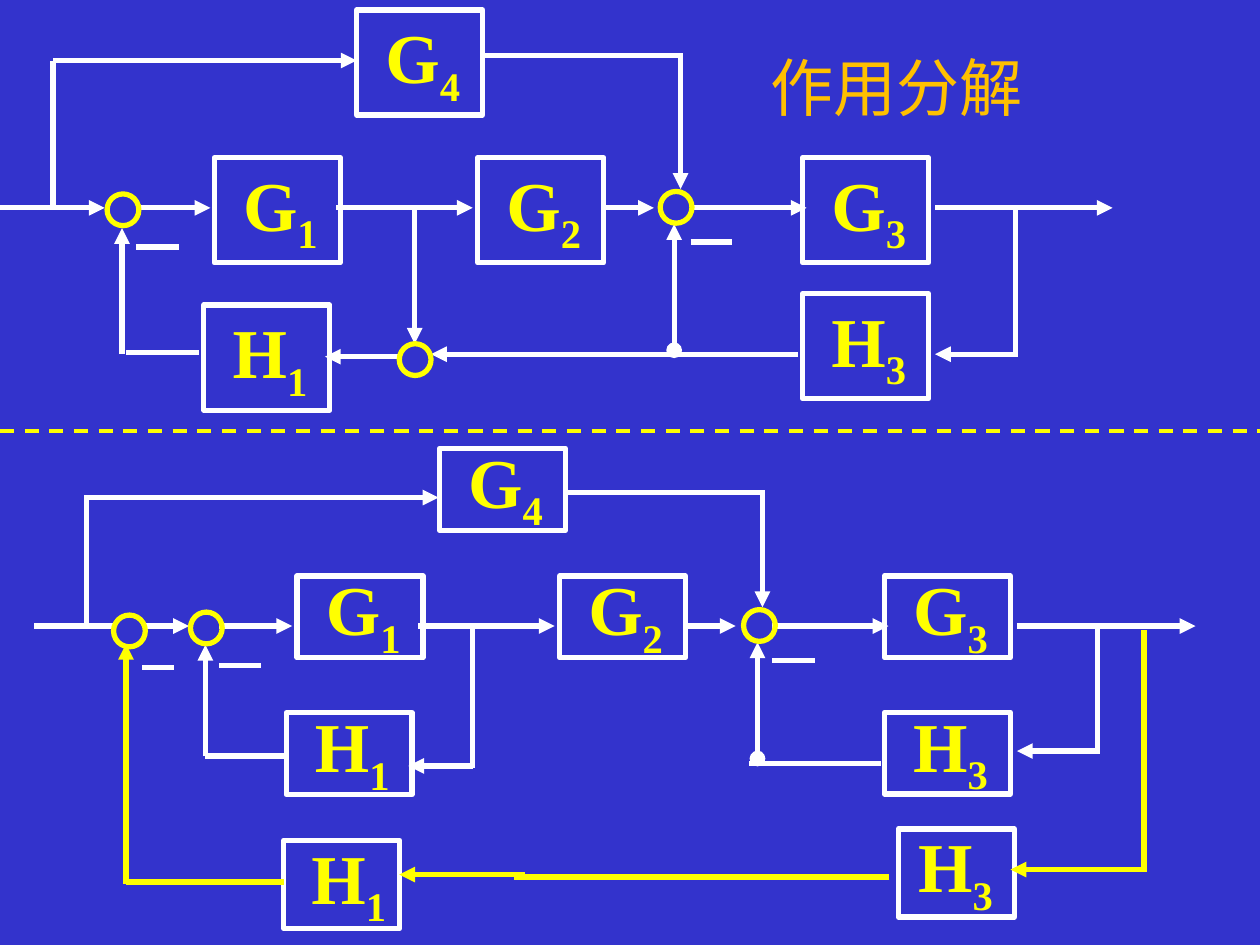
"""Build a slide that decomposes a control block diagram into separate loops."""
from lxml import etree
from pptx import Presentation
from pptx.dml.color import RGBColor
from pptx.enum.dml import MSO_LINE
from pptx.enum.shapes import MSO_CONNECTOR, MSO_SHAPE
from pptx.enum.text import MSO_ANCHOR, MSO_AUTO_SIZE
from pptx.oxml.ns import qn
from pptx.util import Cm, Pt

STRAIGHT = MSO_CONNECTOR.STRAIGHT
RECTANGLE, OVAL = MSO_SHAPE.RECTANGLE, MSO_SHAPE.OVAL
MIDDLE, TOP = MSO_ANCHOR.MIDDLE, MSO_ANCHOR.TOP
GROW, FIXED = MSO_AUTO_SIZE.SHAPE_TO_FIT_TEXT, MSO_AUTO_SIZE.NONE
DASH = MSO_LINE.DASH
color = RGBColor.from_string
BLUE, WHITE, YELLOW, ORANGE = "3333CC", "FFFFFF", "FFFF00", "FFC000"

presentation = Presentation()
presentation.slide_width, presentation.slide_height = Cm(25.4), Cm(19.05)
slide = presentation.slides.add_slide(presentation.slide_layouts[6])
slide.background.fill.solid()
slide.background.fill.fore_color.rgb = color(BLUE)


def add_text(text, left, top, width, height, subscript="", size=40, font="Times New Roman",
             fill=YELLOW, bold=True, anchor=TOP, fit=GROW):
    box = slide.shapes.add_textbox(Cm(left), Cm(top), Cm(width), Cm(height))
    frame = box.text_frame
    frame.word_wrap, frame.auto_size, frame.vertical_anchor = True, fit, anchor
    paragraph = frame.paragraphs[0]
    for part in filter(None, (text, subscript)):
        run = paragraph.add_run()
        run.text = part
        run.font.name, run.font.size, run.font.bold = font, Pt(size), bold
        run.font.color.rgb = color(fill)
    if subscript:
        run.font._element.set("baseline", "-25000")
        spacing = etree.SubElement(paragraph._p.get_or_add_pPr(), qn("a:spcBef"))
        etree.SubElement(spacing, qn("a:spcPct")).set("val", "50000")
    return paragraph


def add_line(x1, y1, x2, y2, stroke=WHITE, width=3, dash=None, start=None, end=None):
    connector = slide.shapes.add_connector(STRAIGHT, Cm(x1), Cm(y1), Cm(x2), Cm(y2))
    connector.line.color.rgb = color(stroke)
    connector.line.width = Pt(width)
    if dash:
        connector.line.dash_style = dash
    properties = connector._element.spPr
    outline = properties.find(qn("a:ln"))
    for tag, kind in (("a:headEnd", start), ("a:tailEnd", end)):
        if kind:
            etree.SubElement(outline, qn(tag)).set("type", kind)
    etree.SubElement(properties, qn("a:effectLst"))


block_groups = [
    # width, height, label shift right and up, blocks
    (2.54, 2.12, 0.33, 0.05, [("G1", 4.32, 3.18), ("G4", 7.19, 0.2), ("H3", 16.18, 5.92),
                              ("G2", 9.63, 3.18), ("G3", 16.18, 3.18), ("H1", 4.11, 6.15)]),
    (2.54, 1.65, 0.33, 0.33, [("G1", 5.99, 11.61), ("G4", 8.86, 9.04), ("G2", 11.28, 11.61),
                              ("G3", 17.83, 11.61), ("H3", 17.83, 14.36), ("H1", 5.77, 14.37)]),
    (2.34, 1.78, 0.31, 0.25, [("H1", 5.72, 16.94)]),
    (2.34, 1.78, 0.15, 0.25, [("H3", 18.11, 16.71)]),
]
for width, height, shift, rise, blocks in block_groups:
    for (letter, index), left, top in blocks:
        add_text(letter, left + shift, top - rise, 2.74, 1.96, subscript=index)
        shape = slide.shapes.add_shape(RECTANGLE, Cm(left), Cm(top), Cm(width), Cm(height))
        shape.shadow.inherit = False
        shape.fill.background()
        shape.line.color.rgb = color(WHITE)
        shape.line.width = Pt(3)

title = add_text("作用分解", 15.29, 0, 9.4, 3.68, size=36, font="Calibri", fill=ORANGE,
                 bold=False, anchor=MIDDLE, fit=FIXED)
title.line_spacing = 0.9
add_line(0, 8.69, 25.4, 8.69, stroke=YELLOW, width=2, dash=DASH)

forward_paths = [
    (4.19, [(0, 2.11), (2.74, 4.24), (6.78, 9.53), (12.12, 13.18), (13.92, 16.26), (18.85, 22.43)]),
    (12.62, [(0.69, 3.81), (4.42, 5.89), (8.43, 11.18), (13.77, 14.83), (15.57, 17.91), (20.5, 24.1)]),
]
for y, spans in forward_paths:
    for x1, x2 in spans:
        add_line(x1, y, x2, y, end="triangle")

branch_arrows = [
    (1.07, 1.22, 7.19, 1.22), (16.08, 7.14, 8.69, 7.14), (20.52, 7.14, 18.85, 7.14),
    (2.46, 7.14, 2.46, 4.6), (13.72, 1.07, 13.72, 3.81), (8.36, 4.14, 8.36, 6.93),
    (8.05, 7.19, 6.55, 7.19), (1.7, 10.03, 8.84, 10.03), (22.17, 15.14, 20.5, 15.14),
    (4.14, 15.24, 4.14, 13), (15.37, 9.88, 15.37, 12.24), (9.53, 15.44, 8.23, 15.44),
]
branch_lines = [
    (9.73, 1.12, 13.77, 1.12), (1.07, 4.19, 1.07, 1.22), (20.47, 4.19, 20.47, 7.14),
    (2.54, 7.11, 4.01, 7.11), (11.4, 9.93, 15.42, 9.93), (1.75, 12.6, 1.75, 10.03),
    (22.12, 12.62, 22.12, 15.19), (17.75, 15.39, 15.09, 15.39), (4.14, 15.24, 5.74, 15.24),
    (9.53, 15.49, 9.53, 12.65),
]
minus_signs = [
    (2.74, 4.98, 3.61, 4.98), (13.92, 4.88, 14.76, 4.88), (4.42, 13.41, 5.26, 13.41),
    (15.57, 13.31, 16.43, 13.31), (2.87, 13.46, 3.51, 13.46),
]
dotted_arrows = [(13.59, 7.06, 13.59, 4.52), (15.27, 15.29, 15.27, 12.95)]
outer_loop_arrows = [
    (23.11, 17.53, 20.37, 17.53), (10.59, 17.63, 8.05, 17.63), (2.54, 17.83, 2.54, 12.98),
]
outer_loop_lines = [
    (23.06, 12.7, 23.06, 17.58), (17.93, 17.68, 10.36, 17.68), (2.54, 17.78, 5.72, 17.78),
]
for lines, line_format in (
    (branch_arrows, {"end": "triangle"}),
    (branch_lines + minus_signs, {}),
    (dotted_arrows, {"start": "oval", "end": "triangle"}),
    (outer_loop_arrows, {"stroke": YELLOW, "end": "triangle"}),
    (outer_loop_lines, {"stroke": YELLOW}),
):
    for points in lines:
        add_line(*points, **line_format)

summing_points = [
    (2.16, 3.91, False), (13.31, 3.86, False), (8.05, 6.93, False),
    (3.84, 12.34, False), (14.99, 12.29, False), (2.29, 12.4, True),
]
for left, top, filled in summing_points:
    shape = slide.shapes.add_shape(OVAL, Cm(left), Cm(top), Cm(0.64), Cm(0.64))
    shape.shadow.inherit = False
    if filled:
        shape.fill.solid()
        shape.fill.fore_color.rgb = color(BLUE)
    else:
        shape.fill.background()
    shape.line.color.rgb = color(YELLOW)
    shape.line.width = Pt(3)

presentation.save("out.pptx")
